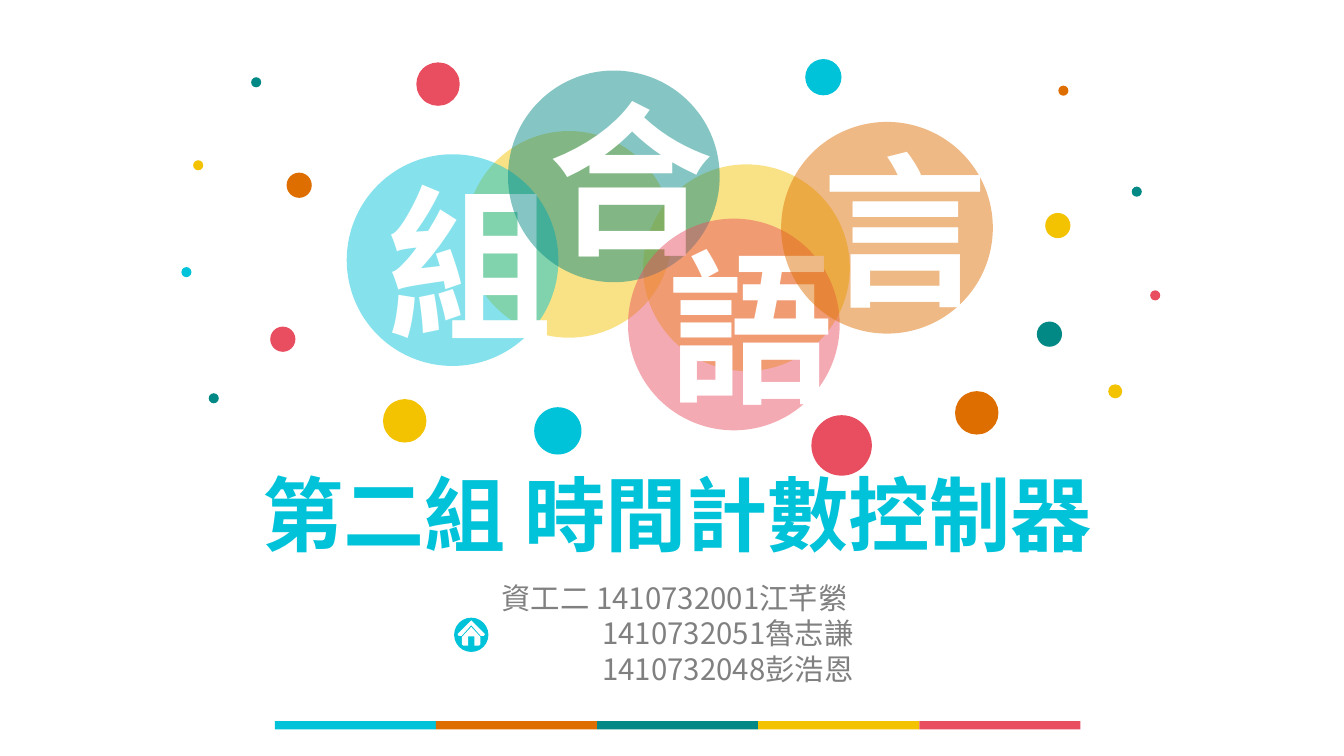
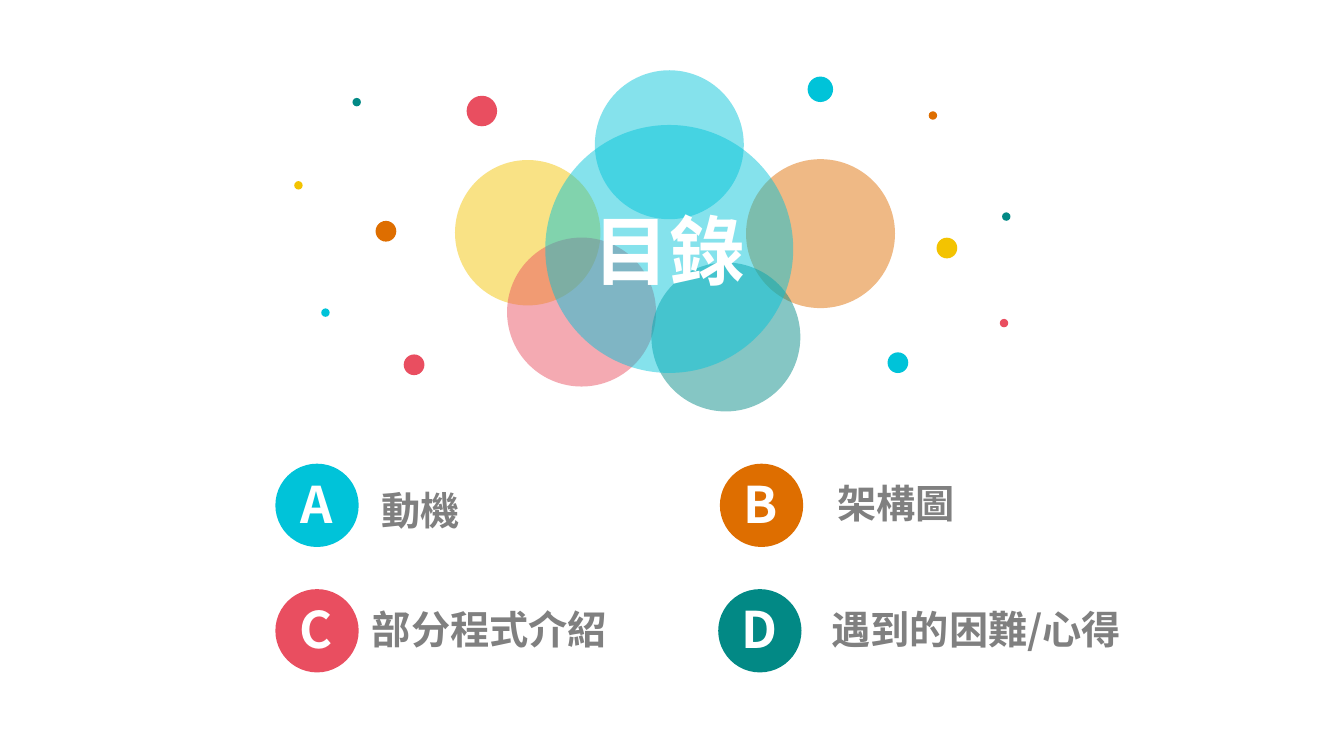
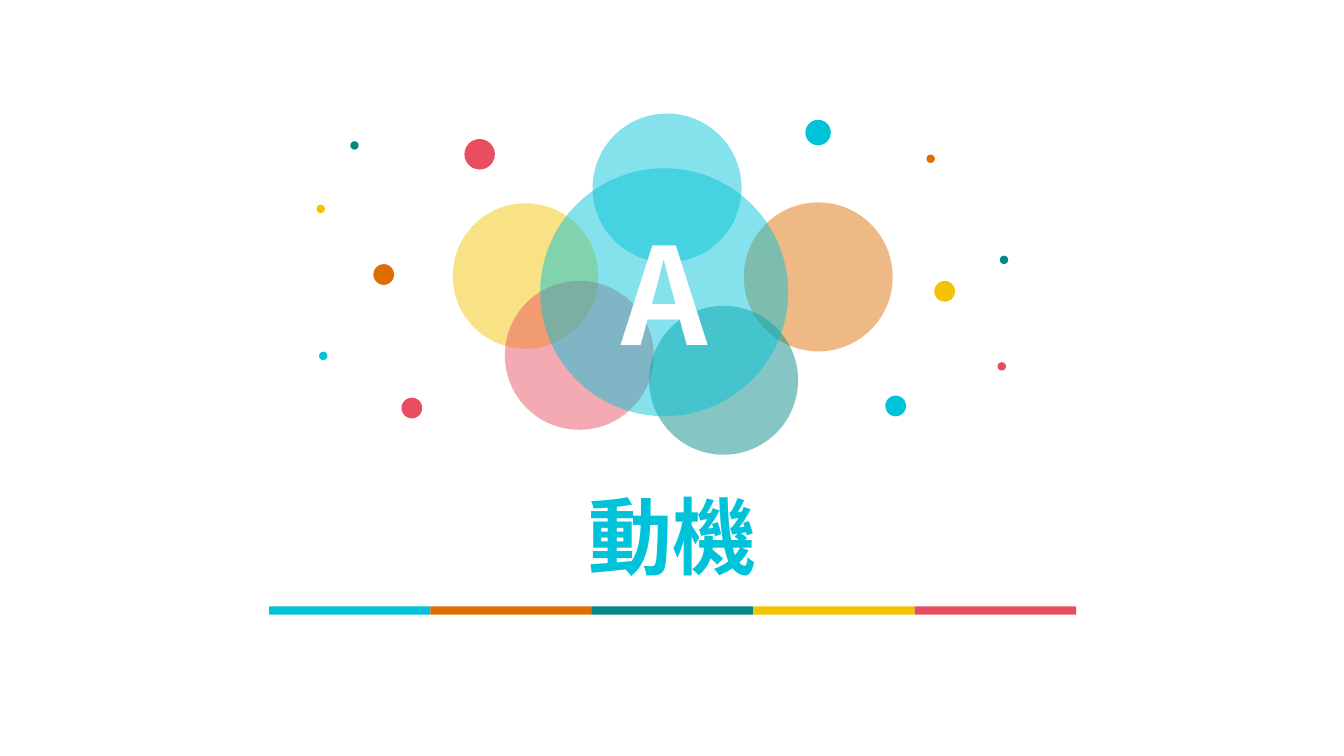
from lxml.etree import SubElement
from pptx import Presentation
from pptx.dml.color import RGBColor
from pptx.enum.shapes import MSO_SHAPE as Shape
from pptx.enum.text import MSO_ANCHOR as Anchor, PP_ALIGN as Align
from pptx.oxml.ns import qn
from pptx.util import Pt

# Shared look
FONT = "Noto Sans CJK SC"
COLORS = {
    "cyan": "00C3D9", "orange": "DE6E00", "teal": "028985",
    "yellow": "F3C301", "red": "E94E60", "grey": "808080", "white": "FFFFFF",
}
BAND_COLORS = ["cyan", "orange", "teal", "yellow", "red"]
BAND_HEIGHT = 6
TRANSLUCENT = 48
TITLE_SIZE = (708.5, 53.3)

# Cover: (colour, left, top, size, text)
COVER_CIRCLES = [
    ("yellow", 332.6, 93.6, 147.6, ""),
    ("yellow", 459.4, 117.4, 147.6, ""),
    ("cyan", 247.7, 110.2, 151.2, "組"),
    ("teal", 362.9, 50.4, 151.2, "合"),
    ("red", 448.6, 156.2, 151.2, "語"),
    ("orange", 558, 87.1, 151.2, "言"),
]
# Dots by diameter: (colour, left, top)
COVER_DOTS = {
    43.2: [("red", 579.6, 296.6)],
    33.8: [("cyan", 381.6, 290.9)],
    31: [("red", 297.4, 44.6), ("yellow", 273.6, 285.1), ("orange", 682.2, 279.4)],
    25.9: [("cyan", 575.2, 42.2)],
    18: [("orange", 204.7, 123.3), ("red", 193, 233.3),
         ("yellow", 746.6, 152.1), ("teal", 740.6, 229.7)],
    10: [("yellow", 791.6, 274.5)],
    7.2: [("teal", 179.4, 55.2), ("yellow", 138, 114.5), ("cyan", 129.6, 190.8),
          ("teal", 149.1, 280.9), ("orange", 756, 61.2), ("teal", 808.4, 133.3),
          ("red", 821.6, 207.4)],
}
COVER_TITLE = "第二組 時間計數控制器"
MEMBERS = ["資工二 1410732001江芊縈", "\t1410732051魯志謙", "\t1410732048彭浩恩"]
MEMBERS_TAB = 72

# House icon: disc, then outlines relative to the disc
HOUSE_DISC = (324.4, 441.2, 24.5)
HOUSE_ROOF = [(12.2, 2), (22, 11.8), (21.2, 13), (19, 13), (12.2, 5.4),
              (5.4, 13), (3.2, 13), (2.4, 11.8)]
HOUSE_WALLS = [(12.2, 6.6), (18.8, 13.8), (18.8, 19), (17.8, 20), (14.4, 20),
               (14.4, 13.4), (10, 13.4), (10, 20), (6.6, 20), (5.6, 19), (5.6, 13.8)]

# Circle cluster of the contents and section slides
CLUSTER_CIRCLES = [
    ("yellow", 325, 114.3, 103.9, ""),
    ("red", 362.2, 169.7, 106.4, ""),
    ("cyan", 424.9, 50.2, 106.4, ""),
    ("orange", 532.9, 113.7, 106.4, ""),
    ("teal", 465.3, 187.5, 106.4, ""),
]
CLUSTER_DOTS = {
    21.8: [("red", 333.3, 68.4)],
    18.2: [("cyan", 576.9, 54.7)],
    14.8: [("orange", 268.3, 157.8), ("red", 288.4, 253.2),
           ("yellow", 669, 169.8), ("cyan", 634, 251.7)],
    6: [("teal", 251.8, 70), ("cyan", 229.5, 220.3), ("orange", 663.4, 79.5),
        ("teal", 715.8, 151.7), ("red", 714.2, 227.8)],
}
HUB_SIZE = 177.1

# Contents: (letter, colour, badge left, badge top, label, label left, label top)
BADGE_SIZE = 59.5
CONTENTS = [
    ("A", "cyan", 196.7, 331.2, "動機", 272.3, 344),
    ("B", "orange", 514.2, 331.2, "架構圖", 598.3, 339.1),
    ("C", "red", 196.7, 420.8, "部分程式介紹", 265.7, 429.1),
    ("D", "teal", 513, 420.8, "遇到的困難/心得", 594, 429.1),
]


def paint(shape, color, alpha=None):
    shape.shadow.inherit = False
    shape.line.fill.background()
    shape.fill.solid()
    shape.fill.fore_color.rgb = RGBColor.from_string(COLORS[color])
    if alpha:
        value = next(shape._element.spPr.iter(qn("a:srgbClr")))
        SubElement(value, qn("a:alpha"), val=str(alpha * 1000))


def write(shape, lines, size, color, bold=True, align=Align.CENTER, tab=None):
    frame = shape.text_frame
    frame.word_wrap = True
    for index, line in enumerate(lines):
        paragraph = frame.add_paragraph() if index else frame.paragraphs[0]
        paragraph.alignment = align
        if tab:
            stops = SubElement(paragraph._p.get_or_add_pPr(), qn("a:tabLst"))
            SubElement(stops, qn("a:tab"), pos=str(Pt(tab)), algn="l")
        run = paragraph.add_run()
        run.text = line
        run.font.size = Pt(size)
        run.font.bold = bold
        run.font.name = FONT
        run.font.color.rgb = RGBColor.from_string(COLORS[color])
        SubElement(run._r.get_or_add_rPr(), qn("a:ea"), typeface=FONT)


def add_block(slide, kind, color, left, top, width, height, alpha=None):
    shape = slide.shapes.add_shape(kind, Pt(left), Pt(top), Pt(width), Pt(height))
    paint(shape, color, alpha)
    return shape


def add_text(slide, lines, left, top, width, height, size, color,
             anchor=Anchor.TOP, margins=(7.2, 3.6), **style):
    box = slide.shapes.add_textbox(Pt(left), Pt(top), Pt(width), Pt(height))
    frame = box.text_frame
    frame.vertical_anchor = anchor
    frame.margin_left = frame.margin_right = Pt(margins[0])
    frame.margin_top = frame.margin_bottom = Pt(margins[1])
    write(box, lines, size, color, **style)


def add_circles(slide, circles, text_size, shift=(0, 0)):
    for color, left, top, size, text in circles:
        circle = add_block(slide, Shape.OVAL, color, left + shift[0], top + shift[1],
                           size, size, TRANSLUCENT)
        if text:
            write(circle, [text], text_size, "white")


def add_dots(slide, dots, shift=(0, 0)):
    for size, places in dots.items():
        for color, left, top in places:
            add_block(slide, Shape.OVAL, color, left + shift[0], top + shift[1],
                      size, size)


def add_cluster(slide, hub_text, text_size, hub_place, stray_dot, shift=(0, 0)):
    add_circles(slide, CLUSTER_CIRCLES, text_size, shift)
    add_dots(slide, CLUSTER_DOTS, shift)
    add_dots(slide, {6: [("yellow", *stray_dot)]})
    add_circles(slide, [("cyan", *hub_place, HUB_SIZE, hub_text)], text_size)


def add_band(slide, left, top, width):
    for index, color in enumerate(BAND_COLORS):
        add_block(slide, Shape.RECTANGLE, color, left + index * width, top,
                  width, BAND_HEIGHT)


def add_title(slide, text, left, top, size):
    add_text(slide, [text], left, top, *TITLE_SIZE, size, "cyan", Anchor.MIDDLE)


def add_house(slide):
    left, top, size = HOUSE_DISC
    add_block(slide, Shape.OVAL, "cyan", left, top, size, size)
    for outline in (HOUSE_ROOF, HOUSE_WALLS):
        points = [(Pt(left + x), Pt(top + y)) for x, y in outline]
        builder = slide.shapes.build_freeform(*points[0])
        builder.add_line_segments(points[1:], close=True)
        paint(builder.convert_to_shape(), "white")


presentation = Presentation()
presentation.slide_width, presentation.slide_height = Pt(960), Pt(540)
cover, contents, section = [
    presentation.slides.add_slide(presentation.slide_layouts[6]) for _ in range(3)
]

# Cover
add_circles(cover, COVER_CIRCLES, 118)
add_dots(cover, COVER_DOTS)
add_house(cover)
add_text(cover, MEMBERS, 353.2, 442, 288.7, 20.2, 21, "grey", Anchor.MIDDLE,
         (5, 2.9), bold=False, align=Align.LEFT, tab=MEMBERS_TAB)
add_title(cover, COVER_TITLE, 129.6, 339.8, 58)
add_band(cover, 196.3, 515.1, 115.1)

# Contents
for letter, color, left, top, label, label_left, label_top in CONTENTS:
    add_text(contents, [label], label_left, label_top, 312, 41, 28, "grey",
             margins=(0, 3.6), align=Align.LEFT)
    add_block(contents, Shape.OVAL, color, left, top, BADGE_SIZE, BADGE_SIZE)
    add_text(contents, [letter], left - 18, top + 3, 94.3, 51, 36, "white")
add_cluster(contents, "目錄", 54, (389.5, 89.3), (210.2, 129.4))

# Section
add_cluster(section, "A", 96, (385.9, 120.2), (226.1, 146.2), (-1.6, 30.9))
add_band(section, 192.2, 433.1, 115.3)
add_title(section, "動機", 126, 355.7, 60)

presentation.save("out.pptx")
